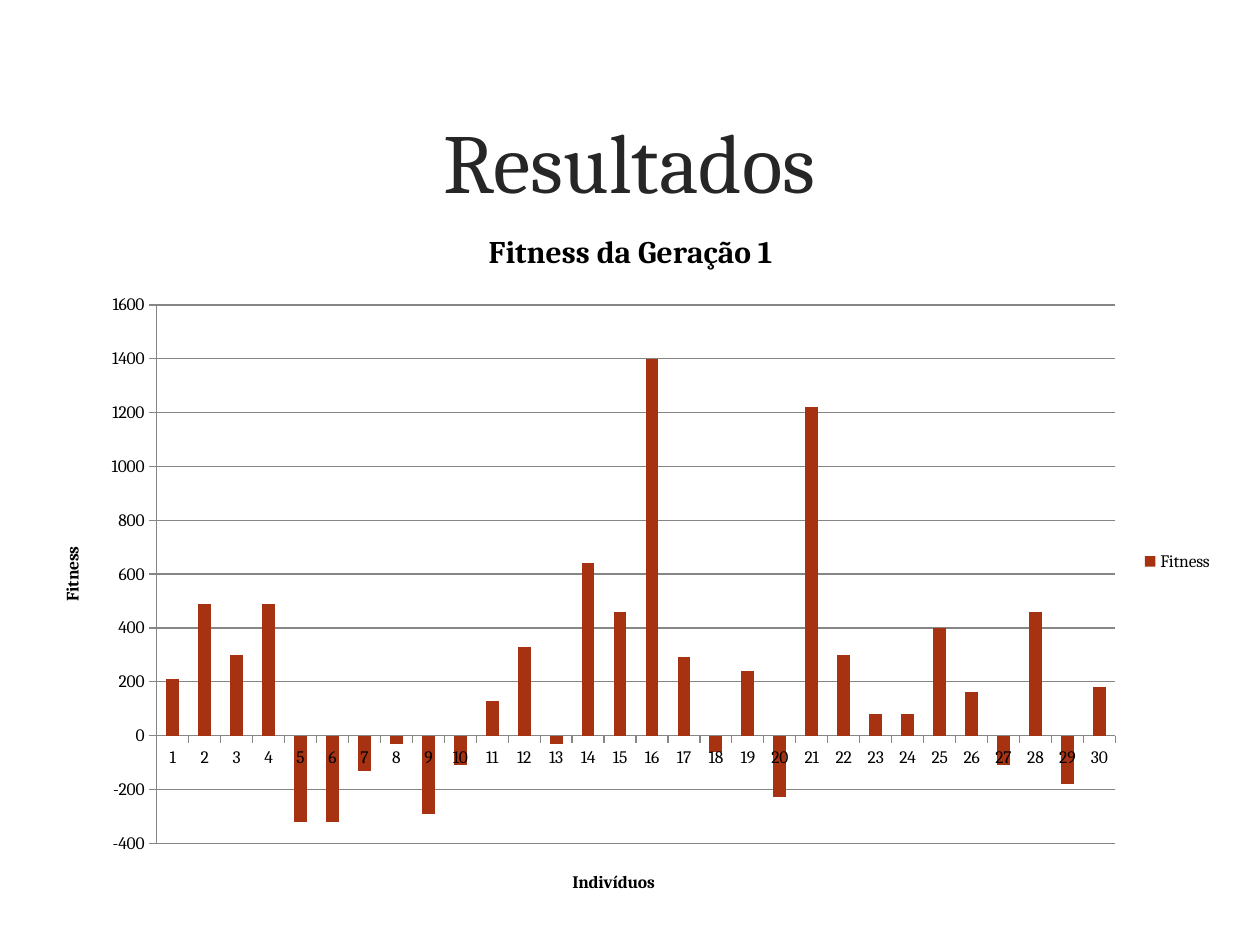
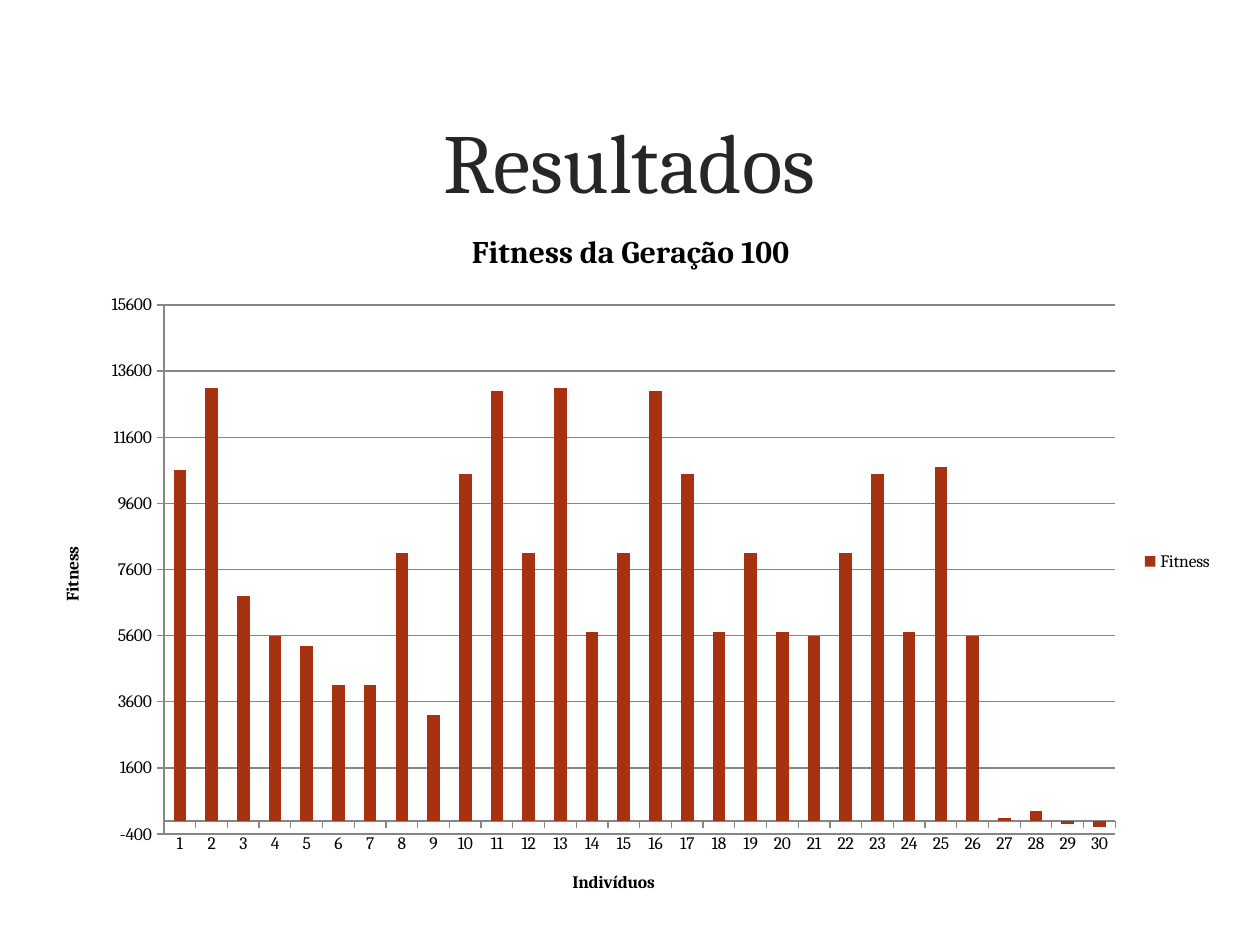
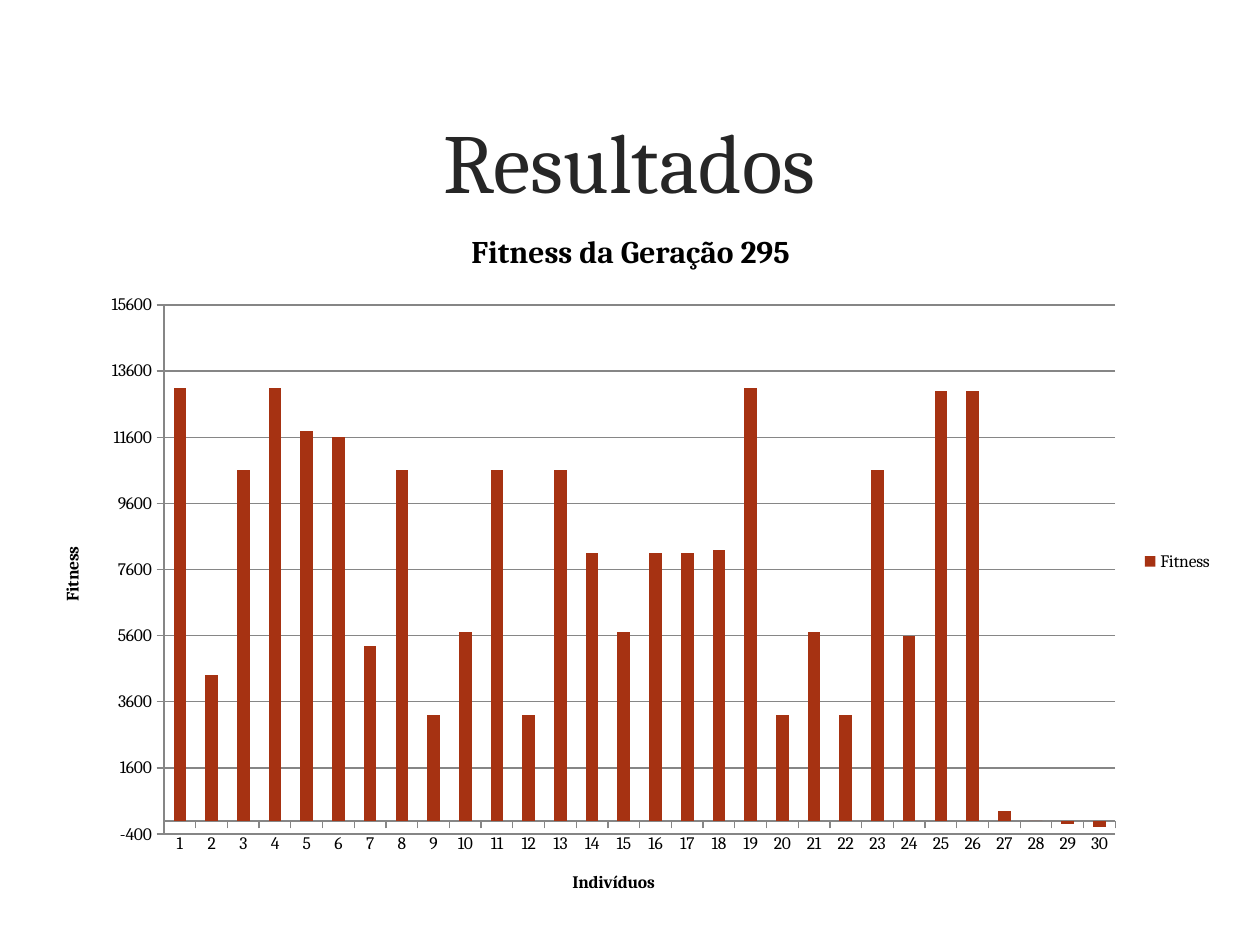
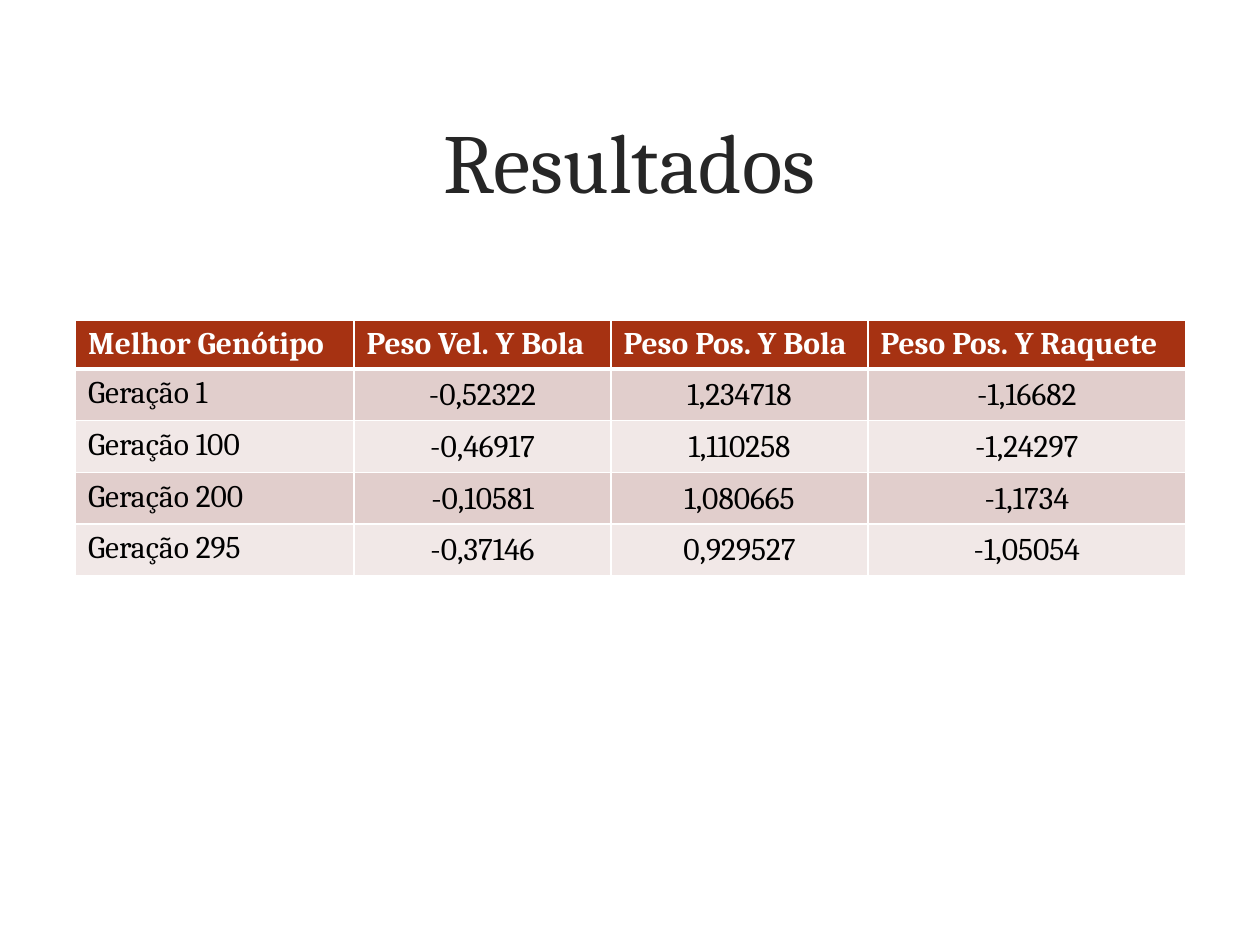
from dataclasses import dataclass

from pptx import Presentation
from pptx.chart.data import CategoryChartData
from pptx.dml.color import RGBColor
from pptx.enum.chart import XL_CHART_TYPE as ChartType, XL_LEGEND_POSITION as LegendSide, XL_TICK_MARK as Tick
from pptx.enum.text import MSO_ANCHOR as Anchor, PP_ALIGN as Align
from pptx.oxml import parse_xml
from pptx.oxml.ns import nsdecls
from pptx.util import Inches, Pt


@dataclass(frozen=True)
class Theme:
    font: str = "Cambria"
    heading: str = "262626"
    ink: str = "000000"
    white: str = "FFFFFF"
    accent: str = "A63212"
    grid: str = "868686"
    bands: tuple = ("E1CECC", "F1E8E7")
    title_size: int = 48
    body_size: int = 18
    chart_size: int = 10


theme = Theme()


def write(frame, text, size=theme.body_size, color=theme.ink, bold=False, align=None):
    """Put one formatted paragraph into a text frame."""
    paragraph = frame.paragraphs[0]
    paragraph.alignment = align
    run = paragraph.add_run()
    run.text = text
    run.font.name = theme.font
    run.font.size = Pt(size)
    run.font.bold = bold
    run.font.color.rgb = RGBColor.from_string(color)


def add_results_slide():
    """Add a slide with the shared title."""
    slide = prs.slides.add_slide(prs.slide_layouts[5])
    heading = slide.shapes.title
    heading.left, heading.top = Inches(0.6), Inches(0.48)
    heading.width, heading.height = Inches(8.79), Inches(1.58)
    heading.text_frame.vertical_anchor = Anchor.MIDDLE
    write(heading.text_frame, "Resultados", size=theme.title_size,
          color=theme.heading, align=Align.CENTER)
    return slide


prs = Presentation()
prs.slide_width, prs.slide_height = Inches(10), Inches(7.5)

# Fitness by generation: number, axis maximum, axis step, values
generations = [
    (1, 1600, 200,
     [210, 490, 300, 490, -320, -320, -130, -30, -290, -110,
      130, 330, -30, 640, 460, 1400, 290, -60, 240, -230,
      1220, 300, 80, 80, 400, 160, -110, 460, -180, 180]),
    (100, 15600, 2000,
     [10600, 13100, 6800, 5600, 5300, 4100, 4100, 8100, 3200, 10500,
      13000, 8100, 13100, 5700, 8100, 13000, 10500, 5700, 8100, 5700,
      5600, 8100, 10500, 5700, 10700, 5600, 100, 300, -100, -200]),
    (295, 15600, 2000,
     [13100, 4400, 10600, 13100, 11800, 11600, 5300, 10600, 3200, 5700,
      10600, 3200, 10600, 8100, 5700, 8100, 8100, 8200, 13100, 3200,
      5700, 3200, 10600, 5600, 13000, 13000, 300, 0, -100, -200]),
]

for generation, top_value, step, values in generations:
    slide = add_results_slide()
    fitness_data = CategoryChartData(number_format="General")
    fitness_data.categories = [str(n) for n in range(1, len(values) + 1)]
    fitness_data.add_series("Fitness", values)
    chart = slide.shapes.add_chart(
        ChartType.COLUMN_CLUSTERED, Inches(0.28), Inches(1.62),
        Inches(9.45), Inches(5.67), fitness_data).chart
    chart.font.name = theme.font
    chart.font.size = Pt(theme.chart_size)
    chart.font.color.rgb = RGBColor.from_string(theme.ink)

    # Title and legend
    chart.has_title = True
    write(chart.chart_title.text_frame, f"Fitness da Geração {generation}", bold=True)
    chart.chart_title.include_in_layout = False
    chart.has_legend = True
    chart.legend.position = LegendSide.RIGHT
    chart.legend.include_in_layout = False

    # Columns
    plot = chart.plots[0]
    plot.gap_width = 150
    plot.vary_by_categories = False
    fitness = plot.series[0]
    fitness.invert_if_negative = False
    fitness.format.fill.solid()
    fitness.format.fill.fore_color.rgb = RGBColor.from_string(theme.accent)

    # Axes
    individuals, scale = chart.category_axis, chart.value_axis
    scale.minimum_scale, scale.maximum_scale = -400, top_value
    scale.major_unit = step
    scale.has_major_gridlines = True
    for axis, caption in ((individuals, "Indivíduos"), (scale, "Fitness")):
        axis.major_tick_mark = Tick.OUTSIDE
        axis.minor_tick_mark = Tick.NONE
        write(axis.axis_title.text_frame, caption, size=theme.chart_size, bold=True)
    for line in (individuals.format.line, scale.format.line, scale.major_gridlines.format.line):
        line.width = Pt(0.75)
        line.color.rgb = RGBColor.from_string(theme.grid)

# Best genotypes
genotypes = [
    ("Melhor Genótipo", "Peso Vel. Y Bola", "Peso Pos. Y Bola", "Peso Pos. Y Raquete"),
    ("Geração 1", "-0,52322", "1,234718", "-1,16682"),
    ("Geração 100", "-0,46917", "1,110258", "-1,24297"),
    ("Geração 200", "-0,10581", "1,080665", "-1,1734"),
    ("Geração 295", "-0,37146", "0,929527", "-1,05054"),
]
slide = add_results_slide()
table = slide.shapes.add_table(
    len(genotypes), len(genotypes[0]), Inches(0.6), Inches(2.54),
    Inches(8.81), Inches(2.02)).table
for column, width in zip(table.columns, (2.21, 2.04, 2.04, 2.52)):
    column.width = Inches(width)

for r, genotype in enumerate(genotypes):
    is_header = r == 0
    table.rows[r].height = Inches(0.37 if is_header else 0.41)
    for c, text in enumerate(genotype):
        cell = table.cell(r, c)
        is_weight = c > 0 and not is_header
        if is_weight:
            cell.vertical_anchor = Anchor.MIDDLE
            cell.margin_left = cell.margin_top = cell.margin_right = Inches(0.01)
            cell.margin_bottom = 0
        write(cell.text_frame, text, bold=is_header,
              color=theme.white if is_header else theme.ink,
              align=Align.CENTER if is_weight else None)

        # White borders, thicker under the header; they precede the fill
        properties = cell._tc.get_or_add_tcPr()
        for side in "LRTB":
            thick = (is_header and side == "B") or (r == 1 and side == "T")
            properties.append(parse_xml(
                f'<a:ln{side} {nsdecls("a")} w="{Pt(3 if thick else 1)}"><a:solidFill>'
                f'<a:srgbClr val="{theme.white}"/></a:solidFill></a:ln{side}>'))
        cell.fill.solid()
        cell.fill.fore_color.rgb = RGBColor.from_string(
            theme.accent if is_header else theme.bands[(r - 1) % 2])

prs.save("out.pptx")
